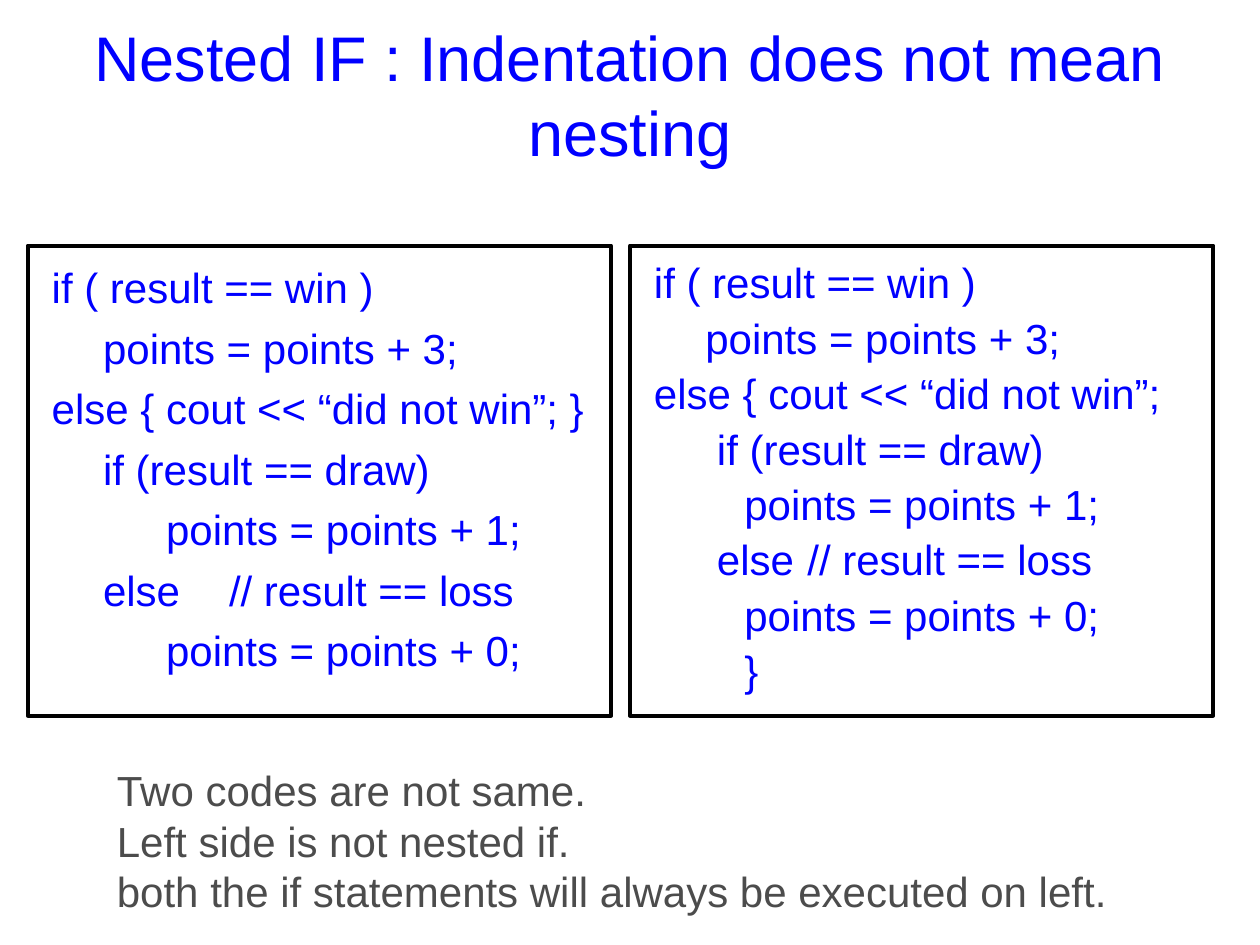
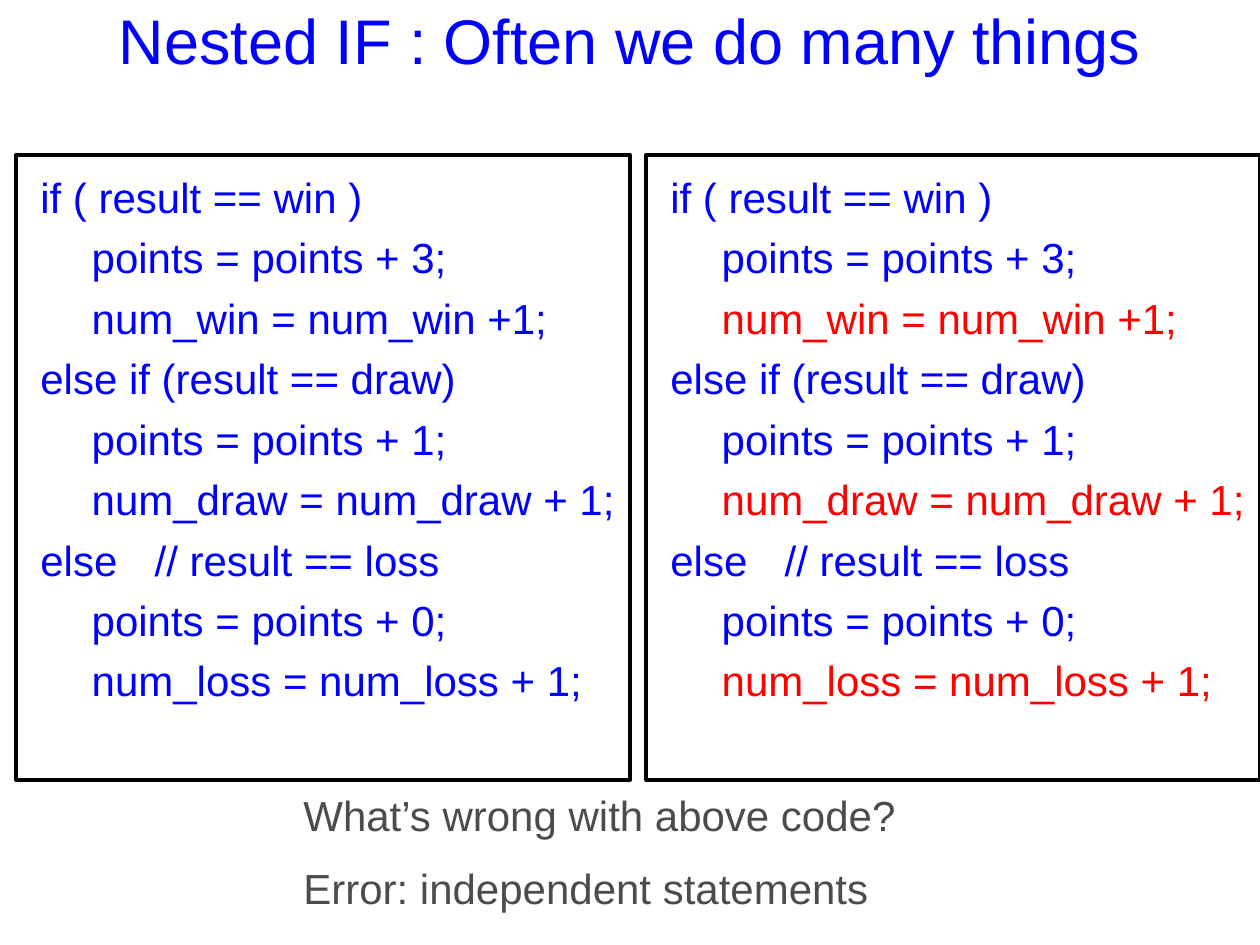
from lxml import etree
from pptx import Presentation
from pptx.dml.color import RGBColor
from pptx.enum.shapes import MSO_SHAPE
from pptx.enum.text import MSO_ANCHOR, PP_ALIGN
from pptx.oxml.ns import qn
from pptx.util import Inches, Pt

RECTANGLE = MSO_SHAPE.RECTANGLE
TOP, MIDDLE = MSO_ANCHOR.TOP, MSO_ANCHOR.MIDDLE
LEFT, CENTER = PP_ALIGN.LEFT, PP_ALIGN.CENTER

COLORS = {"code": "0000FF", "accent": "FF0000", "note": "4C4C4C", "border": "000000"}
FONT = "Arial"
BODY_SIZE, TITLE_SIZE = 24, 36
TAB_STOPS = [0.5 * step for step in range(1, 8)]
NESTED_TAB_STOPS = [0] + [1 + 0.5 * step for step in range(7)]
NESTED_MARGIN, NESTED_HANG = 0.81, -0.31

UNNESTED_CODE = [
    " if ( result == win )",
    "\tpoints = points + 3;",
    " else { cout << “did not win”; }",
    "\tif (result == draw)",
    "\t\tpoints = points + 1;",
    "\telse \t// result == loss",
    "\t\tpoints = points + 0;",
]
NESTED_CODE = [
    " if ( result == win )",
    "\tpoints = points + 3;",
    " else { cout << “did not win”;",
    " if (result == draw)",
    "\tpoints = points + 1;",
    " else \t// result == loss",
    "\tpoints = points + 0;",
    "\t}",
]
COUNTING_CODE = [
    " if ( result == win )",
    "\tpoints = points + 3;",
    "\tnum_win = num_win +1;",
    " else if (result == draw)",
    "\tpoints = points + 1;",
    "\tnum_draw = num_draw + 1;",
    " else \t// result == loss",
    "\tpoints = points + 0;",
    "\tnum_loss = num_loss + 1;",
]


def set_font(paragraph, size, color):
    """Give a paragraph its font, size and colour."""
    paragraph.font.name = FONT
    paragraph.font.size = Pt(size)
    paragraph.font.color.rgb = RGBColor.from_string(COLORS[color])


def set_tabs(paragraph, stops, margin=0, hang=0):
    """Set left tab stops and the indent of a paragraph, in inches."""
    properties = paragraph._p.get_or_add_pPr()
    properties.set("marL", str(Inches(margin)))
    properties.set("indent", str(Inches(hang)))
    tab_list = etree.SubElement(properties, qn("a:tabLst"))
    for stop in stops:
        etree.SubElement(tab_list, qn("a:tab"), pos=str(Inches(stop)), algn="l")


def fill_paragraphs(frame, lines):
    """Write one paragraph for each line and return the paragraphs."""
    frame.text = "\n".join(lines)
    return frame.paragraphs


def add_text(slide, box, lines, size, color, alignment=LEFT, anchor=TOP):
    """Add a text box with one paragraph for each line."""
    frame = slide.shapes.add_textbox(*map(Inches, box)).text_frame
    frame.word_wrap = True
    frame.vertical_anchor = anchor
    for paragraph in fill_paragraphs(frame, lines):
        paragraph.alignment = alignment
        set_font(paragraph, size, color)


def add_title(slide, box, title):
    """Add the centred slide title."""
    add_text(slide, box, [title], TITLE_SIZE, "code", CENTER, MIDDLE)


def add_code(slide, box, lines, spacing=1.2, nested_from=None, accent=None):
    """Add a bordered code panel, with lines nested or accented on request."""
    panel = slide.shapes.add_shape(RECTANGLE, *map(Inches, box))
    panel.shadow.inherit = False
    panel.fill.background()
    panel.line.color.rgb = RGBColor.from_string(COLORS["border"])
    panel.line.width = Pt(2.25)
    frame = panel.text_frame
    frame.word_wrap = True
    frame.vertical_anchor = TOP
    for index, paragraph in enumerate(fill_paragraphs(frame, lines)):
        paragraph.alignment = LEFT
        paragraph.line_spacing = spacing
        if nested_from is not None and index >= nested_from:
            set_tabs(paragraph, NESTED_TAB_STOPS, NESTED_MARGIN, NESTED_HANG)
        else:
            set_tabs(paragraph, TAB_STOPS)
        accented = accent is not None and accent in lines[index]
        set_font(paragraph, BODY_SIZE, "accent" if accented else "code")


def build_indentation_slide(slide):
    """Compare indented code with code that is really nested."""
    add_title(slide, (0.5, 0.12, 9, 1.25), "Nested IF : Indentation does not mean nesting")
    add_code(slide, (0.22, 1.95, 4.63, 3.73), UNNESTED_CODE)
    add_code(slide, (5, 1.95, 4.63, 3.73), NESTED_CODE, spacing=1.1, nested_from=3)
    notes = [
        "Two codes are not same.",
        "Left side is not nested if.",
        "both the if statements will always be executed on left.",
    ]
    add_text(slide, (0.83, 6.02, 8.5, 1.3), notes, BODY_SIZE, "note")


def build_many_things_slide(slide):
    """Show code with several statements in a branch and its faulty lines."""
    add_title(slide, (0.5, -0.12, 9, 0.86), "Nested IF : Often we do many things")
    for left, accent in ((0.13, None), (5.13, "num_")):
        add_code(slide, (left, 1.23, 4.87, 4.96), COUNTING_CODE, accent=accent)
    for top, note in (
        (6.22, "What’s wrong with above code?"),
        (6.8, "Error: independent statements"),
    ):
        add_text(slide, (2.31, top, 5.2, 0.5), [note], BODY_SIZE, "note")


def main():
    """Build and save the presentation."""
    presentation = Presentation()
    presentation.slide_width, presentation.slide_height = Inches(10), Inches(7.5)
    blank = presentation.slide_layouts[6]
    for build in (build_indentation_slide, build_many_things_slide):
        build(presentation.slides.add_slide(blank))
    presentation.save("out.pptx")


if __name__ == "__main__":
    main()
